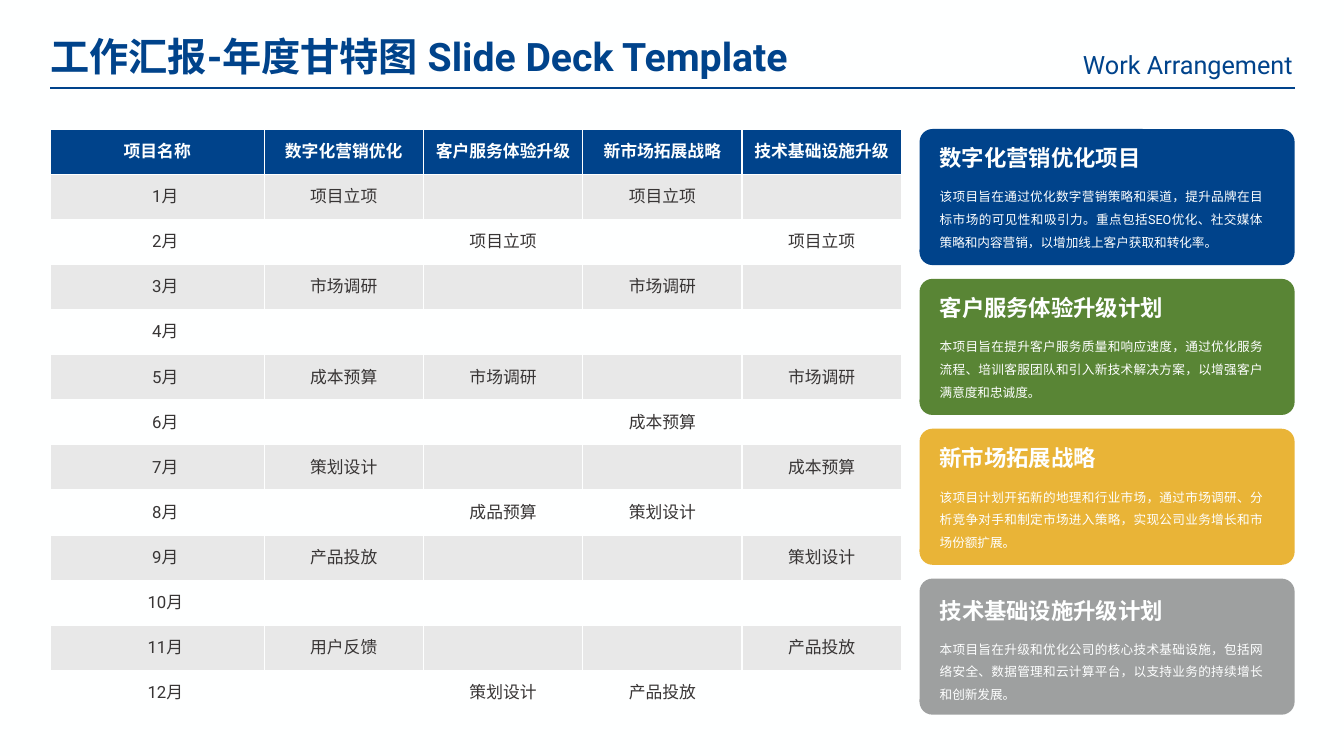
"""Build the annual project schedule slide with its table and four project cards."""
from lxml import etree
from pptx import Presentation
from pptx.dml.color import RGBColor
from pptx.enum import shapes, text
from pptx.oxml import ns
from pptx.util import Inches, Pt

FONT = "Roboto"
BLUE, WHITE, BAND, INK = "00438B", "FEFFFF", "E8E8E8", "383535"
TITLE = "工作汇报-年度甘特图 Slide Deck Template"
SUBTITLE = "Work Arrangement"
HEADERS = ["项目名称", "数字化营销优化", "客户服务体验升级", "新市场拓展战略", "技术基础设施升级"]
MONTHS = [
    ["项目立项", "", "项目立项", ""],
    ["", "项目立项", "", "项目立项"],
    ["市场调研", "", "市场调研", ""],
    ["", "", "", ""],
    ["成本预算", "市场调研", "", "市场调研"],
    ["", "", "成本预算", ""],
    ["策划设计", "", "", "成本预算"],
    ["", "成品预算", "策划设计", ""],
    ["产品投放", "", "", "策划设计"],
    ["", "", "", ""],
    ["用户反馈", "", "", "产品投放"],
    ["", "策划设计", "产品投放", ""],
]
CARDS = [
    (BLUE, 1.4, 2.06, "数字化营销优化项目",
     "该项目旨在通过优化数字营销策略和渠道，提升品牌在目标市场的可见性和吸引力。"
     "重点包括SEO优化、社交媒体策略和内容营销，以增加线上客户获取和转化率。"),
    ("598535", 2.89, 2.85, "客户服务体验升级计划",
     "本项目旨在提升客户服务质量和响应速度，通过优化服务流程、培训客服团队和"
     "引入新技术解决方案，以增强客户满意度和忠诚度。"),
    ("E9B437", 4.38, 2.06, "新市场拓展战略",
     "该项目计划开拓新的地理和行业市场，通过市场调研、分析竞争对手和制定市场"
     "进入策略，实现公司业务增长和市场份额扩展。"),
    ("9EA0A0", 5.89, 2.59, "技术基础设施升级计划",
     "本项目旨在升级和优化公司的核心技术基础设施，包括网络安全、数据管理和"
     "云计算平台，以支持业务的持续增长和创新发展。"),
]
LEFT, TOP, TABLE_WIDTH, TABLE_HEIGHT = 0.5, 1.28, 8.43, 5.82
COLUMN_WIDTHS = [2.12] + [1.58] * 4
CARD_LEFT, CARD_WIDTH, CARD_HEIGHT, LAST_CARD_TOP = 9.12, 3.72, 1.35, 5.74
TEXT_LEFT, BODY_DROP = 9.29, 0.37


def paint(target, color):
    target.solid()
    target.fore_color.rgb = RGBColor.from_string(color)


def write(frame, words, size, color, bold=False, align=text.PP_ALIGN.LEFT):
    frame.text = words
    paragraph = frame.paragraphs[0]
    paragraph.alignment = align
    for run in paragraph.runs:
        run.font.size = Pt(size)
        run.font.bold = bold
        run.font.name = FONT
        paint(run.font.fill, color)
        east_asian = etree.SubElement(run.font._element, ns.qn("a:ea"))
        east_asian.set("typeface", FONT)
    return paragraph


def add_text(slide, box, words, size, color, bold=False, align=text.PP_ALIGN.LEFT,
             inset=None):
    shape = slide.shapes.add_textbox(*map(Inches, box))
    frame = shape.text_frame
    frame.word_wrap = inset is not None
    if inset is not None:
        frame.margin_left = frame.margin_right = Inches(inset)
        frame.margin_top = frame.margin_bottom = Inches(inset)
    return write(frame, words, size, color, bold, align)


def add_borders(cell):
    properties = cell._tc.get_or_add_tcPr()
    for position, side in enumerate(("lnL", "lnR", "lnT", "lnB")):
        line = etree.Element(ns.qn("a:" + side), w=str(Pt(1)))
        fill = etree.SubElement(line, ns.qn("a:solidFill"))
        etree.SubElement(fill, ns.qn("a:srgbClr"), val=WHITE)
        properties.insert(position, line)


def add_heading(slide):
    title = slide.shapes.title
    title.left, title.top, title.width, title.height = map(Inches, (0.4, 0.27, 8.07, 0.57))
    frame = title.text_frame
    frame.word_wrap = False
    frame.auto_size = text.MSO_AUTO_SIZE.NONE
    frame.vertical_anchor = text.MSO_ANCHOR.TOP
    write(frame, TITLE, 28, BLUE, True)
    add_text(slide, (10.39, 0.44, 2.53, 0.4), SUBTITLE, 18, BLUE,
             align=text.PP_ALIGN.RIGHT)
    rule = slide.shapes.add_connector(
        shapes.MSO_CONNECTOR.STRAIGHT, *map(Inches, (LEFT, 0.87, 12.84, 0.87)))
    paint(rule.line.fill, BLUE)
    rule.line.width = Pt(1.5)
    etree.SubElement(rule._element.spPr, ns.qn("a:effectLst"))


def add_schedule(slide):
    rows = [HEADERS] + [[f"{month}月"] + tasks for month, tasks in enumerate(MONTHS, 1)]
    table = slide.shapes.add_table(
        len(rows), len(HEADERS),
        *map(Inches, (LEFT, TOP, TABLE_WIDTH, TABLE_HEIGHT))).table
    for column, width in zip(table.columns, COLUMN_WIDTHS):
        column.width = Inches(width)
    for row_index, row in enumerate(rows):
        table.rows[row_index].height = Inches(TABLE_HEIGHT / len(rows))
        header = row_index == 0
        fill = BLUE if header else BAND if row_index % 2 else WHITE
        for column_index, words in enumerate(row):
            cell = table.cell(row_index, column_index)
            month = column_index == 0 and not header
            cell.margin_left = Inches(0.16 if month else 0.07)
            cell.margin_right = Inches(0 if month else 0.07)
            cell.margin_top = cell.margin_bottom = Inches(0.04)
            cell.vertical_anchor = text.MSO_ANCHOR.MIDDLE
            paint(cell.fill, fill)
            add_borders(cell)
            write(cell.text_frame, words, 12, WHITE if header else INK, header,
                  text.PP_ALIGN.CENTER)


def add_cards(slide):
    pitch = (LAST_CARD_TOP - TOP) / (len(CARDS) - 1)
    for index, (color, title_top, title_width, title, body) in enumerate(CARDS):
        card = slide.shapes.add_shape(
            shapes.MSO_SHAPE.ROUNDED_RECTANGLE,
            *map(Inches, (CARD_LEFT, TOP + index * pitch, CARD_WIDTH, CARD_HEIGHT)))
        card.adjustments[0] = 0.095
        card.shadow.inherit = False
        paint(card.fill, color)
        card.line.fill.background()
        add_text(slide, (TEXT_LEFT, title_top, title_width, 0.33), title, 16, WHITE,
                 True, inset=0.03)
        paragraph = add_text(slide, (TEXT_LEFT, title_top + BODY_DROP, 3.26, 0.71), body,
                             9, WHITE, align=text.PP_ALIGN.JUSTIFY, inset=0.03)
        paragraph.line_spacing = 1.5


def main():
    presentation = Presentation()
    presentation.slide_width, presentation.slide_height = Inches(13.33), Inches(7.5)
    slide = presentation.slides.add_slide(presentation.slide_layouts[5])
    paint(slide.background.fill, WHITE)
    add_heading(slide)
    add_schedule(slide)
    add_cards(slide)
    presentation.save("out.pptx")


if __name__ == "__main__":
    main()
